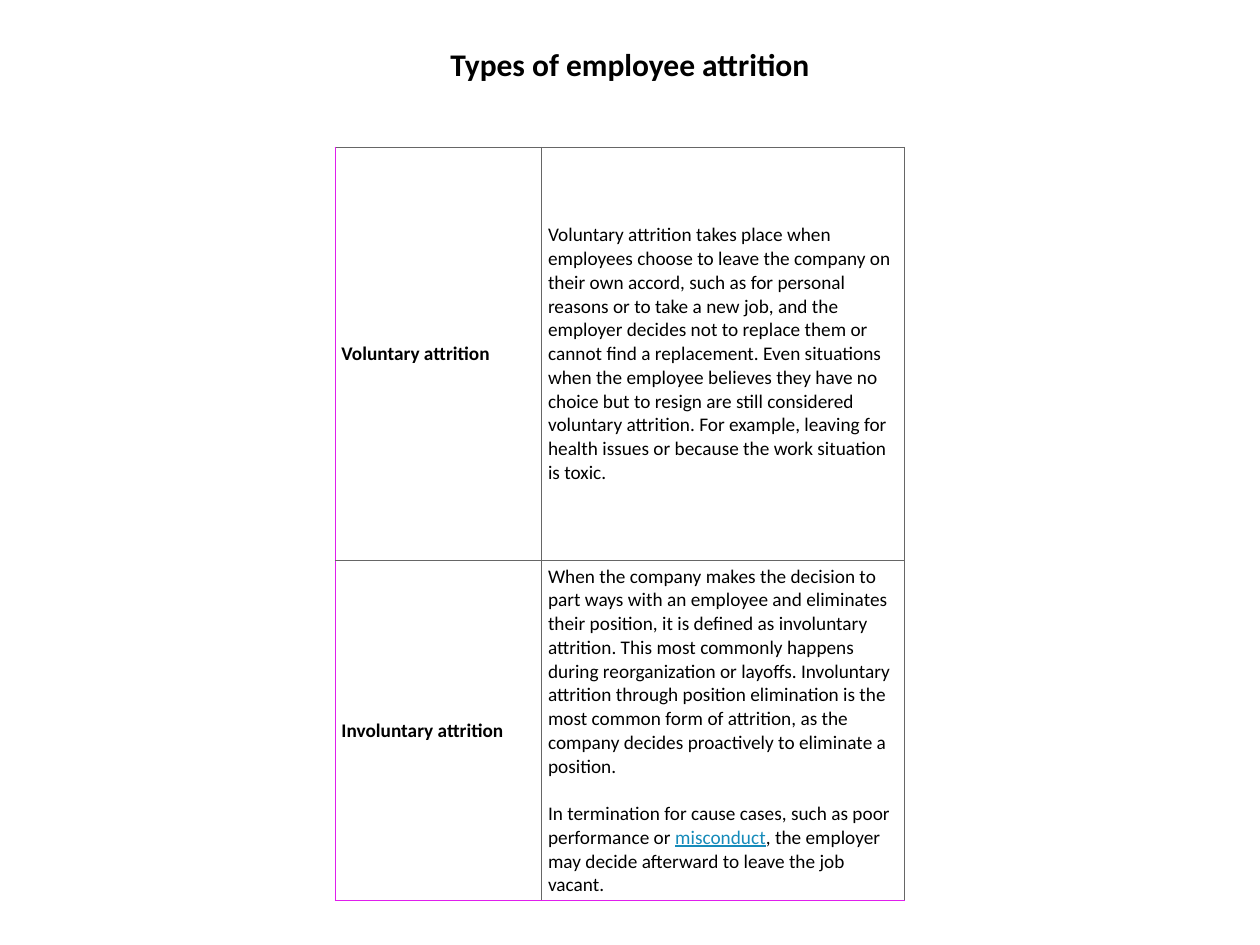
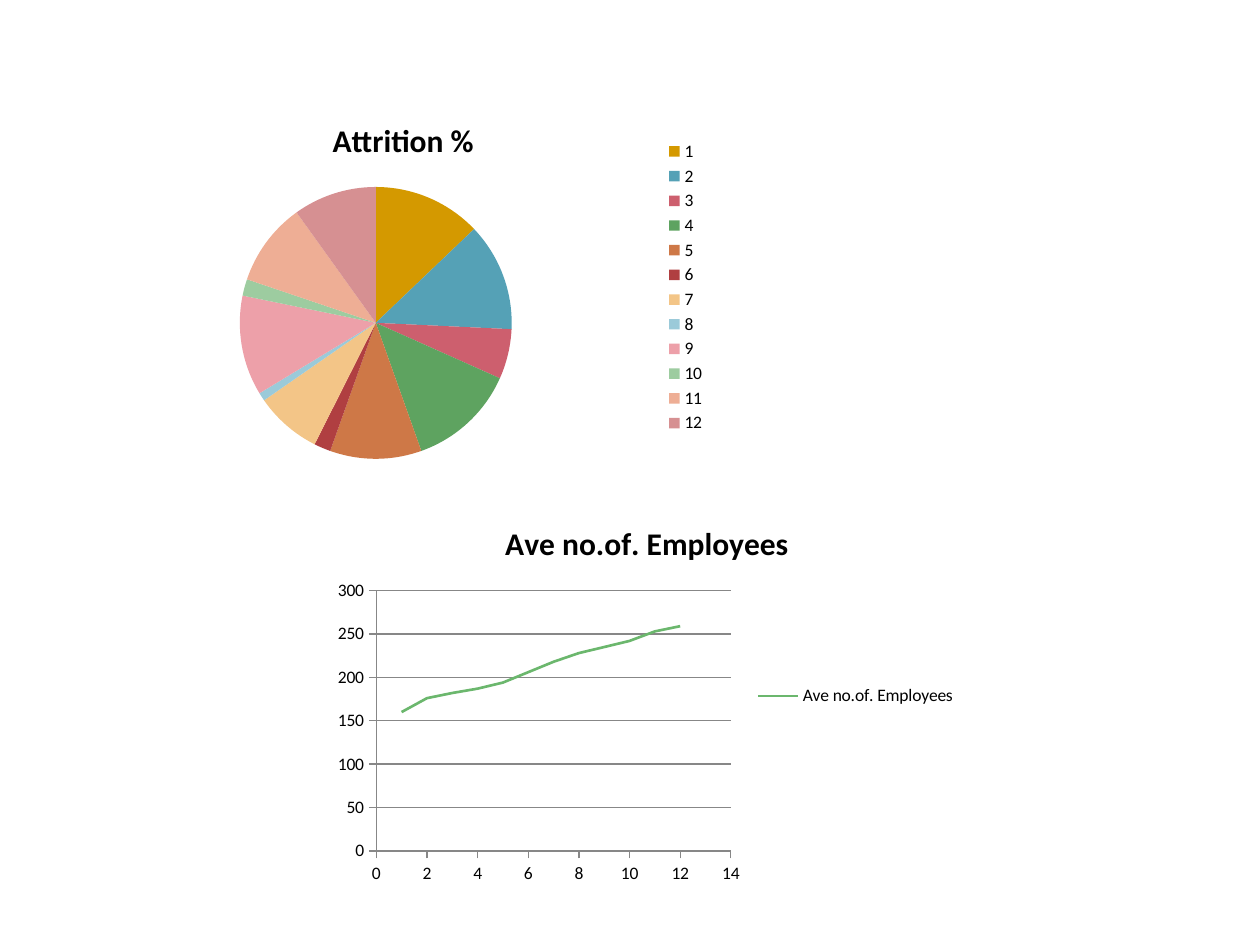
from lxml import etree
from pptx import Presentation
from pptx.chart.data import CategoryChartData, XyChartData
from pptx.dml.color import RGBColor
from pptx.enum.chart import XL_CHART_TYPE, XL_LEGEND_POSITION, XL_TICK_MARK
from pptx.enum.text import MSO_ANCHOR, PP_ALIGN
from pptx.oxml.ns import qn
from pptx.util import Inches, Pt

PIE = XL_CHART_TYPE.PIE
CURVE = XL_CHART_TYPE.XY_SCATTER_LINES_NO_MARKERS
RIGHT = XL_LEGEND_POSITION.RIGHT
OUT = XL_TICK_MARK.OUTSIDE
MIDDLE = MSO_ANCHOR.MIDDLE
CENTER = PP_ALIGN.CENTER

BLACK = RGBColor(0x00, 0x00, 0x00)
GRAY = RGBColor(0x66, 0x66, 0x66)
AXIS = RGBColor(0x87, 0x87, 0x87)
PINK = RGBColor(0xE0, 0x1E, 0xED)
BLUE = RGBColor(0x16, 0x8B, 0xBA)
GREEN = RGBColor(0x6B, 0xB7, 0x6D)
SLICES = [RGBColor.from_string(code) for code in (
    "D49900", "55A1B6", "CD5F6E", "5EA360", "CE7847", "B03F41",
    "F3C587", "9BCAD9", "EDA0A9", "9DCCA0", "EEAE95", "D69092")]

MONTHS = list(range(1, 13))
RATES = [13, 13, 6, 13, 11, 2, 8, 1, 12, 2, 10, 10]
STAFF = [160, 176, 182, 187, 194, 206, 218, 228, 235, 242, 253, 259]

TYPES = [
    ("Voluntary attrition", [[
        "Voluntary attrition takes place when employees choose to leave the "
        "company on their own accord, such as for personal reasons or to take "
        "a new job, and the employer decides not to replace them or cannot "
        "find a replacement. Even situations when the employee believes they "
        "have no choice but to resign are still considered voluntary "
        "attrition. For example, leaving for health issues or because the "
        "work situation is toxic."]]),
    ("Involuntary attrition", [[
        "When the company makes the decision to part ways with an employee "
        "and eliminates their position, it is defined as involuntary "
        "attrition. This most commonly happens during reorganization or "
        "layoffs. Involuntary attrition through position elimination is the "
        "most common form of attrition, as the company decides proactively "
        "to eliminate a position."], [
        "In termination for cause cases, such as poor performance or ",
        "misconduct",
        ", the employer may decide afterward to leave the job vacant."]]),
]


class Deck:
    face = "Calibri"
    head = 18
    body = 11
    small = 10

    def __init__(self):
        self.prs = Presentation()
        self.prs.slide_width = Inches(10)
        self.prs.slide_height = Inches(7.5)
        self.slide = None

    def page(self):
        self.slide = self.prs.slides.add_slide(self.prs.slide_layouts[6])

    def style(self, font, size, bold=False, color=BLACK):
        font.name = self.face
        font.size = Pt(size)
        font.bold = bold
        font.color.rgb = color

    def title(self, text, *box):
        frame = self.slide.shapes.add_textbox(*map(Inches, box)).text_frame
        frame.word_wrap = True
        frame.text = text
        para = frame.paragraphs[0]
        para.alignment = CENTER
        self.style(para.runs[0].font, self.head, True)

    def edge(self, cell, side, color):
        props = cell._tc.get_or_add_tcPr()
        line = etree.SubElement(props, qn(f"a:ln{side}"), w=str(Pt(0.75)))
        fill = etree.SubElement(line, qn("a:solidFill"))
        etree.SubElement(fill, qn("a:srgbClr"), val=str(color))

    def cell(self, cell, paras, bold, edges):
        cell.margin_left = cell.margin_right = Inches(0.05)
        cell.margin_top = cell.margin_bottom = Inches(0.03)
        cell.vertical_anchor = MIDDLE
        frame = cell.text_frame
        for i, parts in enumerate(paras):
            para = frame.add_paragraph() if i else frame.paragraphs[0]
            if i:
                para.space_before = Pt(13.5)
            for part in parts:
                run = para.add_run()
                run.text = part
                link = part == "misconduct"
                self.style(run.font, self.body, bold, BLUE if link else BLACK)
                if link:
                    run.font.underline = True
        for side, color in zip("LRTB", edges):
            self.edge(cell, side, color)
        cell.fill.background()

    def table(self, rows, widths, heights, left, top):
        box = (left, top, sum(widths), sum(heights))
        table = self.slide.shapes.add_table(
            len(rows), len(widths), *map(Inches, box)).table
        table.first_row = table.horz_banding = False
        for col, width in zip(table.columns, widths):
            col.width = Inches(width)
        for r, (name, paras) in enumerate(rows):
            table.rows[r].height = Inches(heights[r])
            base = PINK if r == len(rows) - 1 else GRAY
            self.cell(table.cell(r, 0), [[name]], True,
                      (PINK, GRAY, GRAY, base))
            self.cell(table.cell(r, 1), paras, False,
                      (GRAY, GRAY, GRAY, base))

    def chart(self, kind, data, title, *box):
        chart = self.slide.shapes.add_chart(
            kind, *map(Inches, box), data).chart
        self.style(chart.font, self.small)
        chart.has_title = True
        frame = chart.chart_title.text_frame
        frame.text = title
        self.style(frame.paragraphs[0].runs[0].font, self.head, True)
        chart.has_legend = True
        chart.legend.position = RIGHT
        chart.legend.include_in_layout = False
        chart.plots[0].vary_by_categories = kind == PIE
        return chart

    def pie(self, title, names, values, colors, *box):
        data = CategoryChartData()
        data.categories = [str(name) for name in names]
        data.add_series(title, values)
        chart = self.chart(PIE, data, title, *box)
        points = chart.plots[0].series[0].points
        for i, color in enumerate(colors):
            fill = points[i].format.fill
            fill.solid()
            fill.fore_color.rgb = color

    def axis(self, axis, top, step, grid):
        axis.minimum_scale = 0
        axis.maximum_scale = top
        axis.major_unit = step
        axis.major_tick_mark = OUT
        axis.has_major_gridlines = grid
        lines = [axis.format.line]
        if grid:
            lines.append(axis.major_gridlines.format.line)
        for line in lines:
            line.color.rgb = AXIS
            line.width = Pt(0.75)

    def curve(self, title, xs, ys, color, *box):
        data = XyChartData()
        series = data.add_series(title)
        for x, y in zip(xs, ys):
            series.add_data_point(x, y)
        chart = self.chart(CURVE, data, title, *box)
        self.axis(chart.category_axis, 14, 2, False)
        self.axis(chart.value_axis, 300, 50, True)
        line = chart.plots[0].series[0].format.line
        line.color.rgb = color
        line.width = Pt(1.5)


def main():
    deck = Deck()
    deck.page()
    deck.table(TYPES, (1.64, 2.88), (3.28, 2.46), 2.66, 1.17)
    deck.title("Types of employee attrition", 3.46, 0.31, 3.08, 0.4)
    deck.page()
    deck.pie("Attrition %", MONTHS, RATES, SLICES, 0.7, 0.78, 5, 3)
    deck.curve("Ave no.of. Employees", MONTHS, STAFF, GREEN,
               2.58, 3.98, 5.11, 3.09)
    deck.prs.save("out.pptx")


if __name__ == "__main__":
    main()
